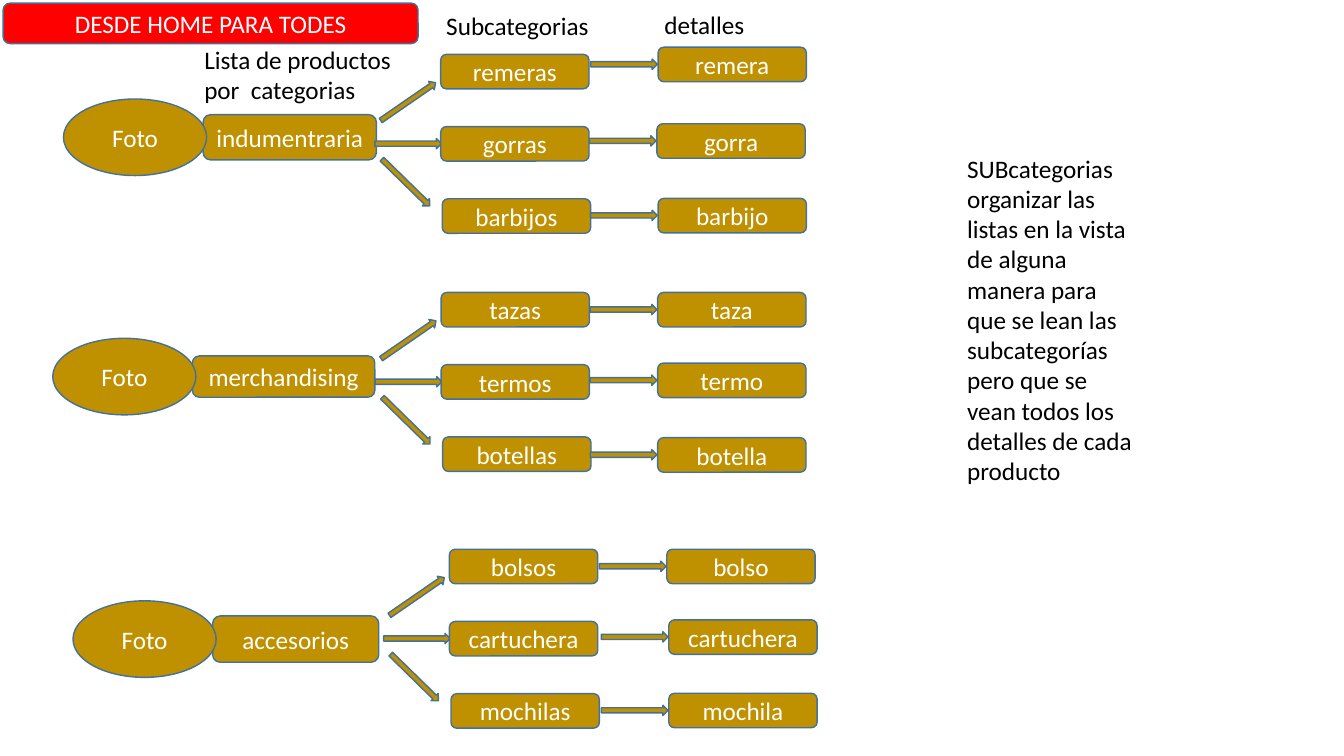
from pptx import Presentation
from pptx import util as u
from pptx.dml.color import RGBColor
from pptx.enum import shapes, text

GOLD, RED, OUTLINE, WHITE, BLACK = "BF9000", "FF0000", "41719C", "FFFFFF", "000000"
ITEM_WIDTH, ITEM_HEIGHT, ITEM_PITCH = 3.74, 0.87, 1.82
ARROW_WIDTH, ARROW_HEIGHT = 1.68, 0.26
PHOTO_WIDTH, PHOTO_HEIGHT = 3.61, 1.93
# Left, top and rotation of the arrows that fan out from a category
BRANCHES = [(-1.66, 1.06, 325.4), (-1.66, 2.12, 0), (-1.72, 3.1, 44.4)]

# Origin is the first subcategory; boxes and detail positions are relative to it.
CATEGORIES = [
    {"name": "indumentraria", "origin": (11.11, 1.37), "box": (-5.99, 1.52, 4.37, 1.14),
     "items": [("remeras", "remera", 5.48, -0.18),
               ("gorras", "gorra", 5.45, 1.75),
               ("barbijos", "barbijo", 5.48, 3.63)]},
    {"name": "merchandising", "origin": (11.12, 7.37), "box": (-6.27, 1.6, 4.6, 1.04),
     "items": [("tazas", "taza", 5.46, 0),
               ("termos", "termo", 5.46, 1.78),
               ("botellas", "botella", 5.46, 3.66)]},
    {"name": "accesorios", "origin": (11.33, 13.84), "box": (-5.97, 1.68, 4.19, 1.17),
     "items": [("bolsos", "bolso", 5.48, 0),
               ("cartuchera", "cartuchera", 5.53, 1.78),
               ("mochilas", "mochila", 5.53, 3.63)]},
]


def color(value):
    return RGBColor.from_string(value)


def format_text(text_frame, font_color):
    text_frame.word_wrap = True
    for paragraph in text_frame.paragraphs:
        for run in paragraph.runs:
            run.font.name = "Calibri"
            run.font.size = u.Pt(18)
            run.font.color.rgb = color(font_color)


def add_box(slide, kind, left, top, width, height, label="", fill=GOLD):
    """Add an outlined shape with a centred white label; lengths in cm."""
    shape = slide.shapes.add_shape(kind, u.Cm(left), u.Cm(top), u.Cm(width), u.Cm(height))
    shape.shadow.inherit = False
    shape.fill.solid()
    shape.fill.fore_color.rgb = color(fill)
    shape.line.color.rgb = color(OUTLINE)
    shape.line.width = u.Pt(1)
    if label:
        text_frame = shape.text_frame
        text_frame.text = label
        text_frame.vertical_anchor = text.MSO_ANCHOR.MIDDLE
        text_frame.paragraphs[0].alignment = text.PP_ALIGN.CENTER
        format_text(text_frame, WHITE)
    return shape


def add_arrow(slide, left, top, rotation=0):
    arrow = add_box(slide, shapes.MSO_SHAPE.RIGHT_ARROW, left, top, ARROW_WIDTH, ARROW_HEIGHT)
    arrow.rotation = rotation


def add_note(slide, left, top, width, height, content):
    note = slide.shapes.add_textbox(u.Cm(left), u.Cm(top), u.Cm(width), u.Cm(height))
    note.text_frame.text = content
    note.text_frame.auto_size = text.MSO_AUTO_SIZE.SHAPE_TO_FIT_TEXT
    format_text(note.text_frame, BLACK)


def add_category(slide, name, origin, box, items):
    """Draw a category with its photo, subcategories and details."""
    x, y = origin
    left, top, width, height = box
    rounded = shapes.MSO_SHAPE.ROUNDED_RECTANGLE
    add_box(slide, rounded, x + left, y + top, width, height, name)
    add_box(slide, shapes.MSO_SHAPE.OVAL, x + left - 3.52, y + top + (height - PHOTO_HEIGHT) / 2,
            PHOTO_WIDTH, PHOTO_HEIGHT, "Foto")
    for branch_left, branch_top, rotation in BRANCHES:
        add_arrow(slide, x + branch_left, y + branch_top, rotation)
    for row, (subcategory, detail, detail_left, detail_top) in enumerate(items):
        shift = 0.04 if row == 2 else 0
        add_box(slide, rounded, x + shift, y + row * ITEM_PITCH,
                ITEM_WIDTH, ITEM_HEIGHT, subcategory)
        add_arrow(slide, x + detail_left - 1.7, y + detail_top + 0.3)
        add_box(slide, rounded, x + detail_left, y + detail_top,
                ITEM_WIDTH, ITEM_HEIGHT, detail)


def add_headings(slide):
    add_box(slide, shapes.MSO_SHAPE.ROUNDED_RECTANGLE, 0.08, 0.08, 10.46, 1.02,
            "DESDE HOME PARA TODES", RED)
    add_note(slide, 4.9, 0.99, 6.1, 1.78, "Lista de productos por  categorias")
    add_note(slide, 11, 0.13, 4.78, 1.02, "Subcategorias")
    add_note(slide, 16.5, 0.1, 4.5, 1.02, "detalles")


def main():
    presentation = Presentation()
    presentation.slide_width = u.Cm(33.88)
    presentation.slide_height = u.Cm(19.05)
    slide = presentation.slides.add_slide(presentation.slide_layouts[6])
    for category in CATEGORIES:
        add_category(slide, **category)
    add_headings(slide)
    add_note(slide, 24.13, 3.73, 4.78, 8.64,
             "SUBcategorias\norganizar las listas en la vista de alguna manera para que se lean "
             "las subcategorías pero que se vean todos los detalles de cada producto")
    presentation.save("out.pptx")


if __name__ == "__main__":
    main()
